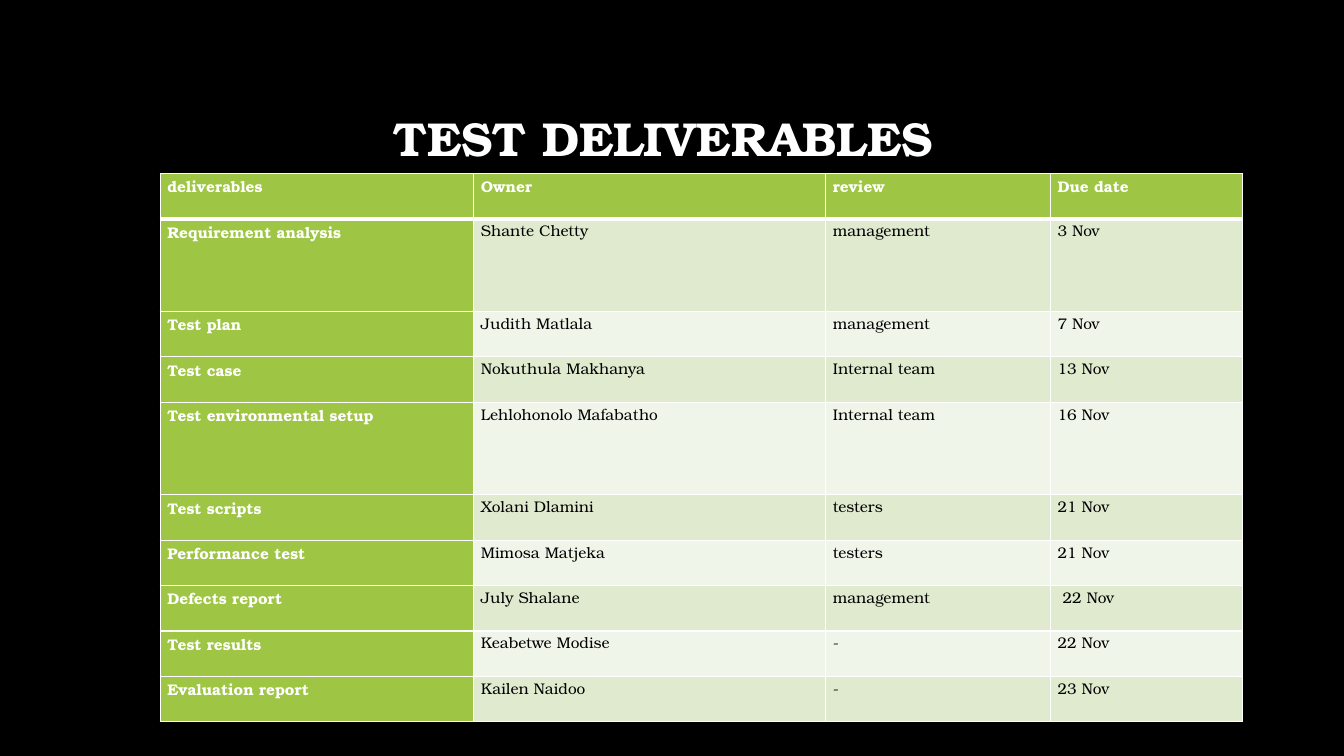
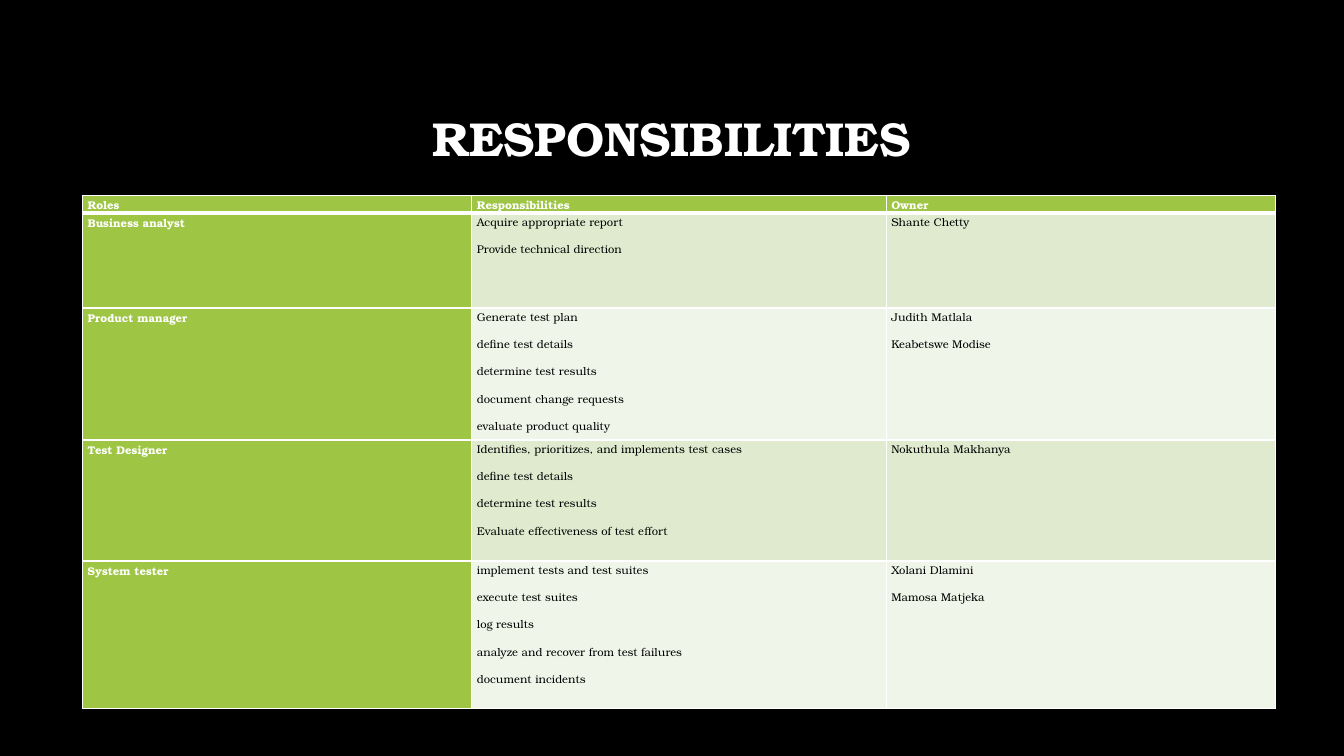
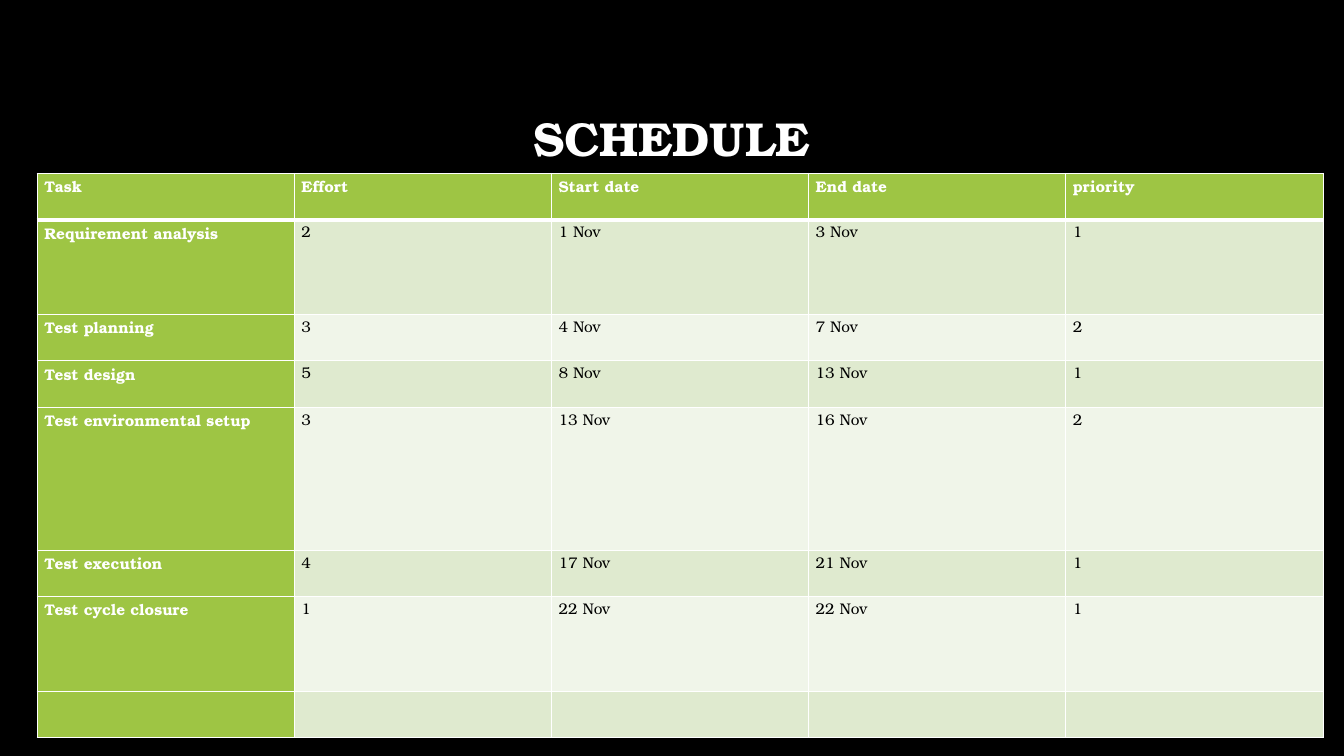
from pptx import Presentation
from pptx.dml.color import RGBColor
from pptx.enum.text import MSO_ANCHOR, MSO_AUTO_SIZE, PP_ALIGN
from pptx.oxml.ns import qn
from pptx.util import Inches, Pt
from lxml.etree import SubElement

FONT = "TeX Gyre Bonum"
BLACK = RGBColor(0x00, 0x00, 0x00)
WHITE = RGBColor(0xFF, 0xFF, 0xFF)
GREEN = RGBColor(0x9E, 0xC5, 0x44)
BAND_DARK = RGBColor(0xDF, 0xEA, 0xCF)
BAND_LIGHT = RGBColor(0xF0, 0xF5, 0xE9)
TITLE_BOX = (1, 0.67, 11.32, 1.45)

DELIVERABLES = [
    ["deliverables", "Owner", "review", "Due date"],
    ["Requirement analysis", "Shante Chetty", "management", "3 Nov"],
    ["Test plan", "Judith Matlala", "management", "7 Nov"],
    ["Test case", "Nokuthula Makhanya", "Internal team", "13 Nov"],
    ["Test environmental setup", "Lehlohonolo Mafabatho", "Internal team", "16 Nov"],
    ["Test scripts", "Xolani Dlamini", "testers", "21 Nov"],
    ["Performance test", "Mimosa Matjeka", "testers", "21 Nov"],
    ["Defects report", "July Shalane", "management", " 22 Nov"],
    ["Test results", "Keabetwe Modise", "-", "22 Nov"],
    ["Evaluation report", "Kailen Naidoo", "-", "23 Nov"],
]
RESPONSIBILITIES = [
    ["Roles", "Responsibilities", "Owner"],
    ["Business analyst",
     "Acquire appropriate report\nProvide technical direction",
     "Shante Chetty"],
    ["Product manager",
     "Generate test plan\ndefine test details\ndetermine test results\n"
     "document change requests\nevaluate product quality",
     "Judith Matlala\nKeabetswe Modise"],
    ["Test Designer",
     "Identifies, prioritizes, and implements test cases\ndefine test details\n"
     "determine test results\nEvaluate effectiveness of test effort",
     "Nokuthula Makhanya"],
    ["System tester",
     "implement tests and test suites\nexecute test suites\nlog results\n"
     "analyze and recover from test failures\ndocument incidents",
     "Xolani Dlamini\nMamosa Matjeka"],
]
SCHEDULE = [
    ["Task", "Effort", "Start date", "End date", "priority"],
    ["Requirement analysis", "2", "1 Nov", "3 Nov", "1"],
    ["Test planning", "3", "4 Nov", "7 Nov", "2"],
    ["Test design", "5", "8 Nov", "13 Nov", "1"],
    ["Test environmental setup", "3", "13 Nov", "16 Nov", "2"],
    ["Test execution", "4", "17 Nov", "21 Nov", "1"],
    ["Test cycle closure", "1", "22 Nov", "22 Nov", "1"],
    ["", "", "", "", ""],
]


def write_text(frame, text, *, size, color=BLACK, bold=False,
               align=PP_ALIGN.LEFT, line_spacing=1.07, space_after=8):
    """Write one paragraph for each line of the text."""
    for index, line in enumerate(text.split("\n")):
        paragraph = frame.add_paragraph() if index else frame.paragraphs[0]
        paragraph.alignment = align
        paragraph.line_spacing = line_spacing
        paragraph.space_after = Pt(space_after)
        run = paragraph.add_run()
        run.text = line
        run.font.name = FONT
        run.font.size = Pt(size)
        run.font.bold = bold
        run.font.color.rgb = color


def set_borders(cell, top=1, bottom=1):
    """Draw white cell edges; top and bottom widths are in points."""
    properties = cell._tc.get_or_add_tcPr()
    for side, width in (("L", 1), ("R", 1), ("T", top), ("B", bottom)):
        line = SubElement(properties, qn(f"a:ln{side}"), w=str(Pt(width)))
        fill = SubElement(line, qn("a:solidFill"))
        SubElement(fill, qn("a:srgbClr"), val=str(WHITE))


def add_banded_table(slide, rows, left, top, widths, heights, size, inset):
    box = map(Inches, (left, top, sum(widths), sum(heights)))
    table = slide.shapes.add_table(len(rows), len(widths), *box).table
    table.first_row = table.horz_banding = False
    for column, width in zip(table.columns, widths):
        column.width = Inches(width)
    for row, height in zip(table.rows, heights):
        row.height = Inches(height)
    for row_index, texts in enumerate(rows):
        band = BAND_DARK if row_index % 2 else BAND_LIGHT
        for column_index, text in enumerate(texts):
            cell = table.cell(row_index, column_index)
            heading = row_index == 0 or column_index == 0
            set_borders(cell, top=3 if row_index == 1 else 1,
                        bottom=3 if row_index == 0 else 1)
            cell.fill.solid()
            cell.fill.fore_color.rgb = GREEN if heading else band
            cell.margin_left = cell.margin_right = Inches(inset)
            cell.margin_top = cell.margin_bottom = 0
            if text:
                write_text(cell.text_frame, text, size=size, bold=heading,
                           color=WHITE if heading else BLACK)


def set_up_layout(presentation):
    """Set the background and title place that all slides share."""
    background = presentation.slide_master.background.fill
    background.solid()
    background.fore_color.rgb = BLACK
    layout = presentation.slide_layouts.get_by_name("Title Only")
    title = layout.placeholders[0]
    title.left, title.top, title.width, title.height = map(Inches, TITLE_BOX)
    return layout


def add_table_slide(presentation, layout, title, rows, **table_format):
    slide = presentation.slides.add_slide(layout)
    frame = slide.shapes.title.text_frame
    frame.vertical_anchor = MSO_ANCHOR.MIDDLE
    frame.auto_size = MSO_AUTO_SIZE.NONE
    write_text(frame, title, size=34, color=WHITE, bold=True,
               align=PP_ALIGN.CENTER, line_spacing=0.9, space_after=0)
    add_banded_table(slide, rows, **table_format)


def main():
    presentation = Presentation()
    presentation.slide_width = Inches(13.33)
    presentation.slide_height = Inches(7.5)
    layout = set_up_layout(presentation)
    add_table_slide(
        presentation, layout, "TEST DELIVERABLES ", DELIVERABLES,
        left=1.59, top=1.72, widths=[3.11, 3.49, 2.23, 1.9],
        heights=[0.45, 0.92, 0.45, 0.45, 0.92] + [0.45] * 5,
        size=11, inset=0.07)
    add_table_slide(
        presentation, layout, "RESPONSIBILITIES", RESPONSIBILITIES,
        left=0.82, top=1.94, widths=[3.86, 4.11, 3.86],
        heights=[0.14, 0.94, 1.31, 1.2, 1.46],
        size=8, inset=0.05)
    add_table_slide(
        presentation, layout, "SCHEDULE", SCHEDULE,
        left=0.37, top=1.72, widths=[2.55] * 4 + [2.56],
        heights=[0.46, 0.94, 0.46, 0.46, 1.42, 0.46, 0.94, 0.46],
        size=11, inset=0.07)
    presentation.save("out.pptx")


if __name__ == "__main__":
    main()
